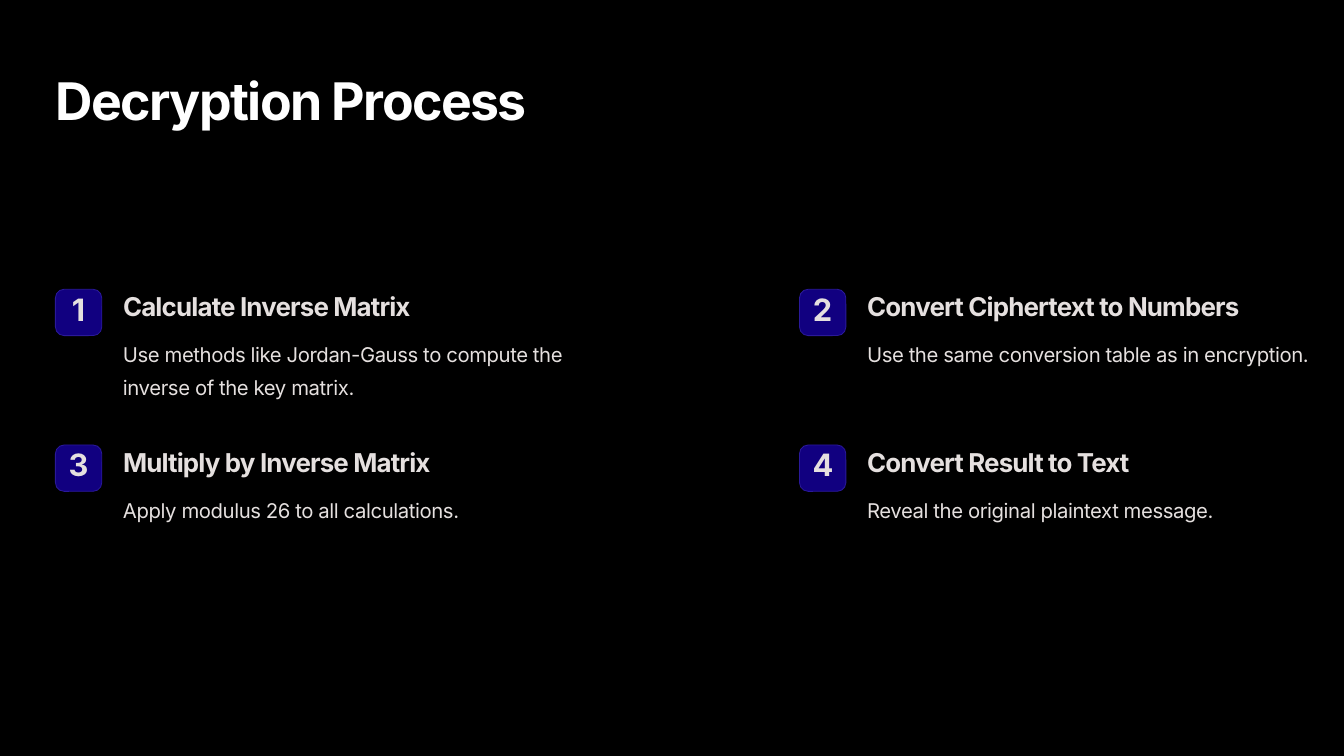
from pptx import Presentation
from pptx.dml.color import RGBColor
from pptx.enum.shapes import MSO_SHAPE
from pptx.enum.text import MSO_ANCHOR, PP_ALIGN
from pptx.util import Inches, Pt

ROUNDED = MSO_SHAPE.ROUNDED_RECTANGLE
TOP = MSO_ANCHOR.TOP
LEFT, CENTER = PP_ALIGN.LEFT, PP_ALIGN.CENTER


def color(hex_value):
    return RGBColor.from_string(hex_value)


class SlideBuilder:
    font = "Inter"
    background = "000000"
    title_color = "FFFFFF"
    text_color = "E5E0DF"
    badge_fill = "110080"
    badge_line = "2A1999"

    def __init__(self, slide):
        self.slide = slide
        fill = slide.background.fill
        fill.solid()
        fill.fore_color.rgb = color(self.background)

    def text(self, words, left, top, width, height, size, leading, tracking,
             bold=False, hex_value=text_color, align=LEFT, wrap=False):
        box = self.slide.shapes.add_textbox(
            Inches(left), Inches(top), Inches(width), Inches(height))
        frame = box.text_frame
        frame.margin_left = frame.margin_right = 0
        frame.margin_top = frame.margin_bottom = 0
        frame.word_wrap = wrap
        frame.vertical_anchor = TOP
        paragraph = frame.paragraphs[0]
        paragraph.alignment = align
        paragraph.line_spacing = Pt(leading)
        run = paragraph.add_run()
        run.text = words
        run.font.name = self.font
        run.font.size = Pt(size)
        run.font.bold = bold
        run.font.color.rgb = color(hex_value)
        # Letter spacing is stored in hundredths of a point
        run.font._element.set("spc", str(round(tracking * 100)))

    def title(self, words):
        self.text(words, 0.55, 0.66, 5.15, 0.64, 37, 46, -1.1,
                  bold=True, hex_value=self.title_color)

    def badge(self, number, left, top):
        side, digit_width = 0.46, 0.2
        square = self.slide.shapes.add_shape(
            ROUNDED, Inches(left), Inches(top), Inches(side), Inches(side))
        square.adjustments[0] = 0.187
        square.shadow.inherit = False
        square.fill.solid()
        square.fill.fore_color.rgb = color(self.badge_fill)
        square.line.color.rgb = color(self.badge_line)
        square.line.width = Pt(0.6)
        self.text(str(number), left + (side - digit_width) / 2, top + 0.07,
                  digit_width, 0.31, 22, 22, -0.7, bold=True, align=CENTER)

    def step(self, number, heading, detail, left, top):
        text_left = left + 0.67
        self.badge(number, left, top)
        self.text(heading, text_left, top, 3.71, 0.32, 18.5, 23, -0.6, bold=True)
        self.text(detail, text_left, top + 0.44, 4.7, 0.66, 14.5, 23.5, -0.3,
                  wrap=True)


STEPS = [
    ("Calculate Inverse Matrix",
     "Use methods like Jordan-Gauss to compute the inverse of the key matrix."),
    ("Convert Ciphertext to Numbers",
     "Use the same conversion table as in encryption."),
    ("Multiply by Inverse Matrix", "Apply modulus 26 to all calculations."),
    ("Convert Result to Text", "Reveal the original plaintext message."),
]


def main():
    deck = Presentation()
    deck.slide_width, deck.slide_height = Inches(13.33), Inches(7.5)
    builder = SlideBuilder(deck.slides.add_slide(deck.slide_layouts[6]))

    builder.title("Decryption Process")

    # Steps in a grid of two columns, read row by row
    for index, (heading, detail) in enumerate(STEPS):
        row, column = divmod(index, 2)
        builder.step(index + 1, heading, detail,
                     0.55 + column * 7.38, 2.87 + row * 1.545)

    deck.save("out.pptx")


if __name__ == "__main__":
    main()
